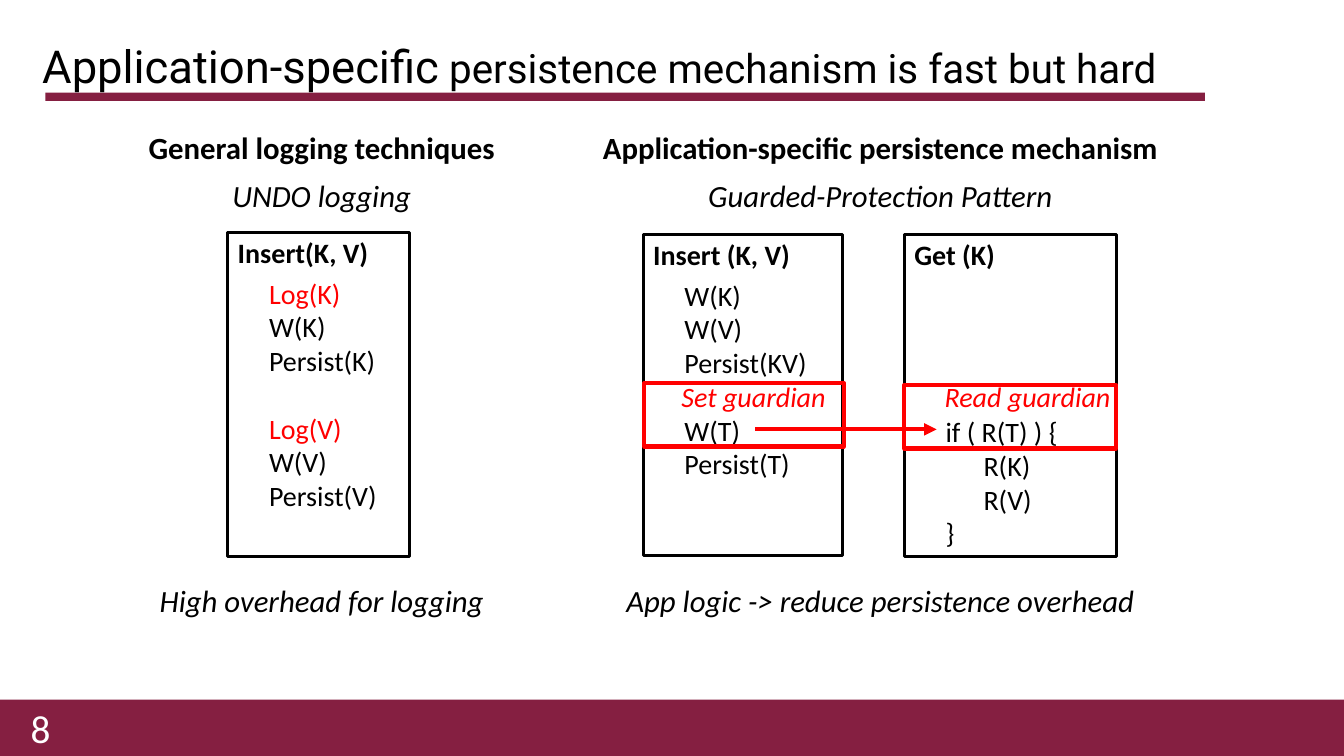
import pptx
import pptx.dml.color
import pptx.enum.shapes
import pptx.enum.text
import pptx.oxml
import pptx.oxml.ns
import pptx.util

RGBColor = pptx.dml.color.RGBColor
ALIGN = pptx.enum.text.PP_ALIGN
ANCHOR = pptx.enum.text.MSO_ANCHOR
SHAPE = pptx.enum.shapes.MSO_SHAPE

MAROON = RGBColor(0x85, 0x1F, 0x41)
BLACK = RGBColor(0x00, 0x00, 0x00)
WHITE = RGBColor(0xFF, 0xFF, 0xFF)
RED = RGBColor(0xFF, 0x00, 0x00)

COLUMNS, ROWS = 133.3, 75
CODE_SIZE = 20
CODE_PITCH = 24.4
CODE_INDENT = 3.1
GUARDIAN_ROW = 37.2


def cells(count):
    """Convert a count of tenth-inch grid cells to a length."""
    return pptx.util.Inches(count / 10)


def add_bar(page, left, top, width, height):
    """Draw a solid maroon bar."""
    bar = page.shapes.add_shape(SHAPE.RECTANGLE, *map(cells, (left, top, width, height)))
    bar.shadow.inherit = False
    bar.fill.solid()
    bar.fill.fore_color.rgb = MAROON
    bar.line.fill.background()


def add_frame(page, left, top, width, height, color=BLACK, weight=2.25):
    """Draw an unfilled outlined rectangle."""
    frame = page.shapes.add_shape(SHAPE.RECTANGLE, *map(cells, (left, top, width, height)))
    frame.shadow.inherit = False
    frame.fill.background()
    frame.line.color.rgb = color
    frame.line.width = pptx.util.Pt(weight)


def add_span(para, text, size=22, font="Calibri", color=BLACK, bold=False, italic=False):
    """Append one formatted span to a paragraph."""
    span = para.add_run()
    span.text = text
    span.font.name = font
    span.font.size = pptx.util.Pt(size)
    span.font.color.rgb = color
    span.font.bold = bold
    span.font.italic = italic


def add_text(page, text, left, top, width, height=4.7, align=ALIGN.LEFT,
             anchor=ANCHOR.TOP, **style):
    """Add a wrapped text box with one paragraph and return its frame."""
    box = page.shapes.add_textbox(*map(cells, (left, top, width, height)))
    frame = box.text_frame
    frame.word_wrap = True
    frame.vertical_anchor = anchor
    para = frame.paragraphs[0]
    para.alignment = align
    add_span(para, text, **style)
    return frame


def add_code(page, left, top, width, lines, skipped=0):
    """Add code lines given as (text, colour, rows left free above)."""
    top += skipped * CODE_PITCH / 7.2
    text, color, _ = lines[0]
    frame = add_text(page, text, left, top, width, 1 + len(lines) * CODE_PITCH / 7.2,
                     size=CODE_SIZE, color=color)
    for text, color, gap in lines[1:]:
        para = frame.add_paragraph()
        para.space_before = pptx.util.Pt(gap * CODE_PITCH)
        add_span(para, text, size=CODE_SIZE, color=color)


def add_panel(page, heading, left, top, width, height, lines, skipped=0):
    """Draw a framed function with its heading and code."""
    add_frame(page, left, top, width, height)
    add_text(page, heading, left, top - 0.2, width, 4.4, size=CODE_SIZE, bold=True)
    add_code(page, left + CODE_INDENT, top + 3.8, width - CODE_INDENT, lines, skipped)


def add_guardian(page, label, left, top, width, label_left):
    """Highlight a guardian step with a red frame and label."""
    add_frame(page, left, top, width, 6.3, color=RED, weight=3)
    add_text(page, label, label_left, GUARDIAN_ROW, 19, 4.4,
             size=CODE_SIZE, color=RED, italic=True)


def add_arrow(page, start, end, row):
    """Draw a horizontal red arrow."""
    arrow = page.shapes.add_connector(pptx.enum.shapes.MSO_CONNECTOR.STRAIGHT,
                                      *map(cells, (start, row, end, row)))
    arrow.line.color.rgb = RED
    arrow.line.width = pptx.util.Pt(3)
    make = pptx.oxml.ns.qn
    line = arrow.line._get_or_add_ln()
    line.append(line.makeelement(make("a:tailEnd"), {"type": "triangle"}))
    line.addnext(line.makeelement(make("a:effectLst"), {}))


def add_approach(page, center, heading, pattern, verdict):
    """Add the centred captions above and below an approach."""
    width = 57.5
    left = center - width / 2
    add_text(page, heading, left, 12.3, width, align=ALIGN.CENTER, bold=True)
    for text, top in ((pattern, 17), (verdict, 57.2)):
        add_text(page, text, left, top, width, align=ALIGN.CENTER, italic=True)


def main():
    """Build and save the slide."""
    deck = pptx.Presentation()
    deck.slide_width, deck.slide_height = cells(COLUMNS), cells(ROWS)
    page = deck.slides.add_slide(deck.slide_layouts[6])

    add_bar(page, 0, 69.4, COLUMNS, 5.6)
    add_bar(page, 4.5, 9.2, 115, 0.8)
    title = add_text(page, "Application-specific", 3.2, 4, 130.1, 5.6,
                     anchor=ANCHOR.MIDDLE, size=32.4, font="Roboto")
    title.paragraphs[0].line_spacing = 0.9
    add_span(title.paragraphs[0], " persistence mechanism is fast but hard",
             size=28.8, font="Roboto")
    add_text(page, "8", 0, 70.2, 6, 4, align=ALIGN.RIGHT, anchor=ANCHOR.MIDDLE,
             size=28, color=WHITE)

    add_approach(page, 31.9, "General logging techniques", "UNDO logging",
                 "High overhead for logging")
    add_approach(page, 87.3, "Application-specific persistence mechanism",
                 "Guarded-Protection Pattern",
                 "App logic -> reduce persistence overhead")

    add_panel(page, "Insert(K, V)", 22.6, 23.1, 18, 32.1, [
        ("Log(K)", RED, 0), ("W(K)", BLACK, 0), ("Persist(K)", BLACK, 0),
        ("Log(V)", RED, 1), ("W(V)", BLACK, 0), ("Persist(V)", BLACK, 0)])
    add_panel(page, "Insert (K, V)", 63.8, 23.3, 19.8, 31.8, [
        ("W(K)", BLACK, 0), ("W(V)", BLACK, 0), ("Persist(KV)", BLACK, 0),
        ("W(T)", BLACK, 1), ("Persist(T)", BLACK, 0)])
    add_panel(page, "Get (K)", 89.7, 23.3, 21, 31.9, [
        ("if ( R(T) ) {", BLACK, 0), ("      R(K)", BLACK, 0),
        ("      R(V)", BLACK, 0), ("}", BLACK, 0)], skipped=4)

    add_guardian(page, "Set guardian", 63.9, 38, 19.8, 66.6)
    add_guardian(page, "Read guardian", 89.7, 38.2, 21, 92.7)
    add_arrow(page, 74.9, 92.9, 42.6)

    deck.save("out.pptx")


if __name__ == "__main__":
    main()
